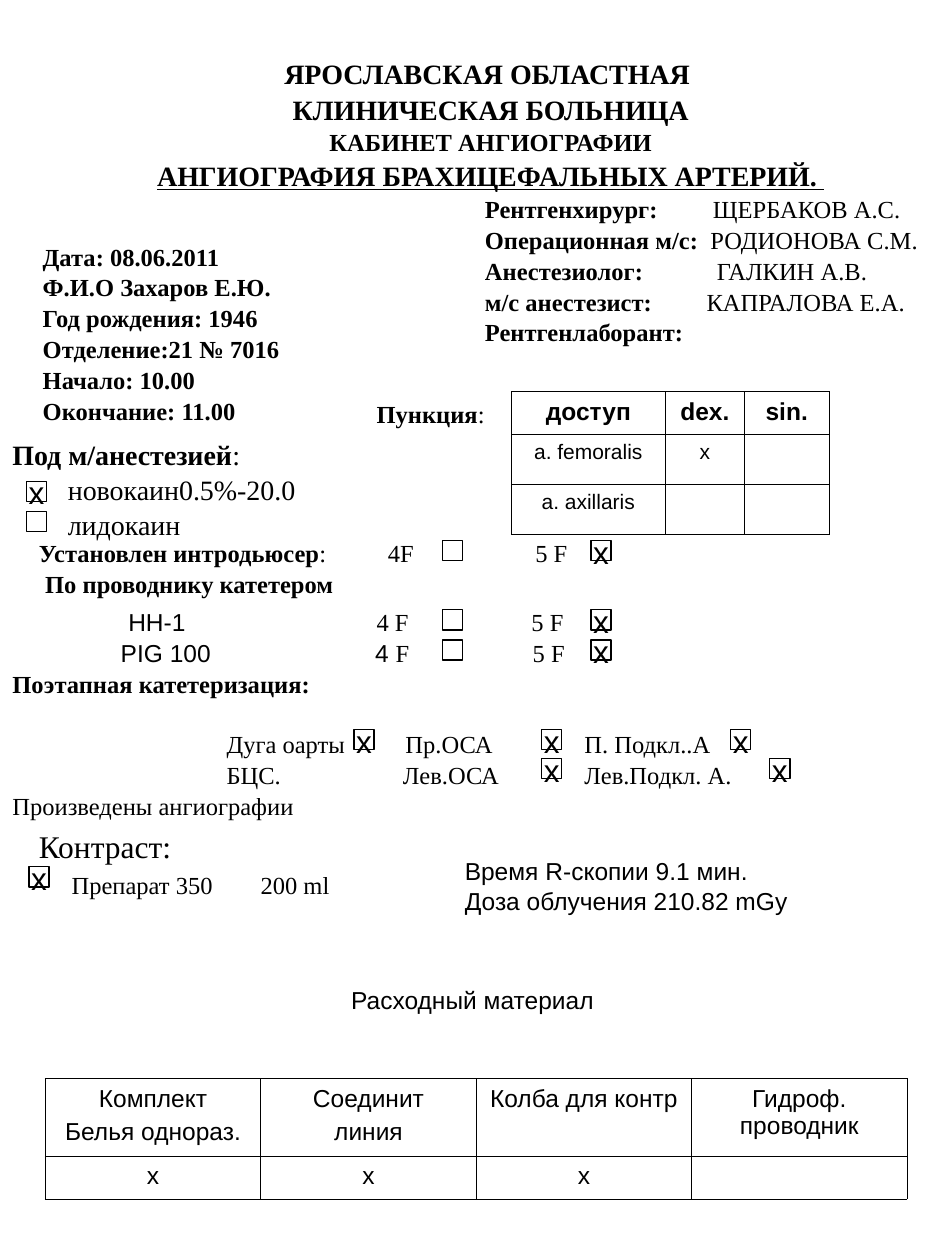
from lxml import etree
from pptx import Presentation
from pptx import util as u
from pptx.dml.color import RGBColor
from pptx.enum import shapes, text
from pptx.oxml import ns

COLORS = {"ink": "000000"}
SERIF, SANS = "Times New Roman", "Arial"
CENTER, LEFT = text.PP_ALIGN.CENTER, text.PP_ALIGN.LEFT
MIDDLE, TOP = text.MSO_ANCHOR.MIDDLE, text.MSO_ANCHOR.TOP
BOLD, PLAIN = {"bold": True}, {"bold": False}
TEXT_SPACING = 1.05
BOX_SIZE = 0.16


def rgb(name):
    return RGBColor.from_string(COLORS[name])


def para(*runs, tabs=(), indent=0, before=0):
    return {"runs": runs, "tabs": tabs, "indent": indent, "before": before}


def add_run(p, content, fmt):
    r = p.add_run()
    r.text = content
    for name, value in fmt.items():
        setattr(r.font, name, value)
    r.font.color.rgb = rgb("ink")


def set_tabs(p, tabs, indent):
    pPr = p._p.get_or_add_pPr()
    if indent:
        pPr.set("marL", str(u.Inches(indent)))
        pPr.set("indent", "0")
    if tabs:
        tab_list = etree.SubElement(pPr, ns.qn("a:tabLst"))
        for pos in tabs:
            etree.SubElement(tab_list, ns.qn("a:tab"), pos=str(u.Inches(pos)), algn="l")


def fill_text(tf, paras, font, size, align=LEFT, spacing=TEXT_SPACING):
    base = {"name": font, "size": u.Pt(size), "bold": False}
    for i, item in enumerate(paras):
        p = tf.paragraphs[0] if i == 0 else tf.add_paragraph()
        set_tabs(p, item["tabs"], item["indent"])
        p.alignment = align
        p.line_spacing = spacing
        if item["before"]:
            p.space_before = u.Pt(item["before"])
        for run in item["runs"]:
            content, fmt = (run, {}) if isinstance(run, str) else run
            add_run(p, content, {**base, **fmt})


def add_text(s, at, paras, font=SERIF, size=14, align=LEFT, anchor=TOP, wrap=True):
    tf = s.shapes.add_textbox(*map(u.Inches, at)).text_frame
    tf.word_wrap = wrap
    tf.vertical_anchor = anchor
    fill_text(tf, paras, font, size, align)


def add_checkbox(s, left, top, checked):
    sp = s.shapes.add_shape(shapes.MSO_SHAPE.RECTANGLE,
                            *map(u.Inches, (left, top, BOX_SIZE, BOX_SIZE)))
    sp.shadow.inherit = False
    sp.fill.background()
    sp.line.color.rgb = rgb("ink")
    sp.line.width = u.Pt(0.75)
    if checked:
        tf = sp.text_frame
        tf.word_wrap = False
        tf.vertical_anchor = MIDDLE
        fill_text(tf, [para("х")], SANS, 18, CENTER)


def set_borders(cell):
    tcPr = cell._tc.get_or_add_tcPr()
    for i, side in enumerate(("lnL", "lnR", "lnT", "lnB")):
        ln = etree.Element(ns.qn(f"a:{side}"), w=str(u.Pt(0.45)))
        solid = etree.SubElement(ln, ns.qn("a:solidFill"))
        etree.SubElement(solid, ns.qn("a:srgbClr"), val=COLORS["ink"])
        tcPr.insert(i, ln)


def add_table(s, left, top, widths, heights, rows, formats):
    frame = s.shapes.add_table(
        len(heights), len(widths),
        *map(u.Inches, (left, top, sum(widths), sum(heights))))
    table = frame.table
    table.first_row = table.horz_banding = False
    for col, width in zip(table.columns, widths):
        col.width = u.Inches(width)
    for i, (row, fmt) in enumerate(zip(rows, formats)):
        table.rows[i].height = u.Inches(heights[i])
        for j, content in enumerate(row):
            cell = table.cell(i, j)
            cell.fill.background()
            set_borders(cell)
            if content:
                paras = [para((line, {"bold": fmt["bold"]}), before=3.5 if n else 0)
                         for n, line in enumerate(content.split("\n"))]
                fill_text(cell.text_frame, paras, SANS, fmt["size"], CENTER, 1.0)
            else:
                p = cell.text_frame.paragraphs[0]
                p._p.get_or_add_endParaRPr().set("sz", str(fmt["size"] * 100))


def add_header(s):
    add_text(s, (0.52, 0.39, 6.75, 1.44), [
        para(("ЯРОСЛАВСКАЯ ОБЛАСТНАЯ ", BOLD)),
        para(("КЛИНИЧЕСКАЯ БОЛЬНИЦА", BOLD)),
        para(("КАБИНЕТ АНГИОГРАФИИ", {**BOLD, "size": u.Pt(14)})),
        para(("АНГИОГРАФИЯ БРАХИЦЕФАЛЬНЫХ АРТЕРИЙ. ", {**BOLD, "underline": True})),
    ], size=16, align=CENTER)


def add_people(s):
    staff = [("Рентгенхирург:", "ЩЕРБАКОВ А.С.", 1.81),
             ("Операционная м/с:", "РОДИОНОВА С.М.", 1.79),
             ("Анестезиолог:", "ГАЛКИН А.В.", 1.84),
             ("м/с анестезист:", "КАПРАЛОВА Е.А.", 1.76)]
    paras = [para((role, BOLD), "\t" + name, tabs=(tab,)) for role, name, tab in staff]
    add_text(s, (3.75, 1.48, 3.75, 1.27), paras + [para(("Рентгенлаборант:", BOLD))])
    patient = ["Дата: 08.06.2011", "Ф.И.О Захаров Е.Ю.", "Год рождения: 1946",
               "Отделение:21 № 7016", "Начало: 10.00", "Окончание: 11.00"]
    add_text(s, (0.24, 1.3, 3.31, 2.68), [para((line, BOLD)) for line in patient],
             anchor=MIDDLE)


def add_procedure(s):
    add_text(s, (0, 3.41, 3.42, 0.9), [
        para(("Под м/анестезией", BOLD), ":"),
        para("новокаин0.5%-20.0", indent=0.44),
        para("лидокаин", indent=0.44)], size=16)
    add_text(s, (2.89, 3.11, 1.06, 0.34), [para(("Пункция", BOLD), ":")], wrap=False)
    add_text(s, (0.21, 4.21, 6.32, 0.57), [
        para(("Установлен интродьюсер", BOLD), ":\t4F\t5 F", tabs=(2.77, 3.94)),
        para(("По проводнику катетером", BOLD), indent=0.05)])
    sans = {"name": SANS}
    add_text(s, (0, 4.76, 7.5, 1.97), [
        para(("\tНН-1", sans), "\t4 F\t5 F", tabs=(0.92, 2.89, 4.12)),
        para(("\tРIG 100\t4 ", sans), "F\t5 F", tabs=(0.86, 2.88, 4.13)),
        para(("Поэтапная катетеризация:", BOLD)),
        para("\tДуга оарты\tПр.ОСА\tП. Подкл..А", tabs=(1.7, 3.12, 4.54), before=16.9),
        para("\tБЦС.\tЛев.ОСА\tЛев.Подкл. А.", tabs=(1.7, 3.1, 4.54)),
        para("Произведены ангиографии")])


def add_summary(s):
    add_text(s, (0.21, 6.5, 3.72, 1.37), [
        para(("Контраст:", {"size": u.Pt(18)})),
        para("Препарат 350\t200 ml", tabs=(1.56,), indent=0.26, before=2)])
    add_text(s, (3.59, 6.73, 3.12, 0.57), [
        para("Время R-скопии 9.1 мин."),
        para("Доза облучения 210.82 mGy")], font=SANS)
    add_text(s, (0, 7.76, 7.5, 1.04), [para("Расходный материал")],
             font=SANS, align=CENTER)


def main():
    prs = Presentation()
    prs.slide_width, prs.slide_height = u.Inches(7.5), u.Inches(10)
    s = prs.slides.add_slide(prs.slide_layouts[6])
    add_header(s)
    add_people(s)
    add_procedure(s)
    add_summary(s)
    small = {"size": 12, **PLAIN}
    normal = {"size": 14, **PLAIN}
    add_table(s, 4.06, 3.11, (1.22, 0.63, 0.67), (0.33, 0.4, 0.4),
              [("доступ", "dex.", "sin."), ("a. femoralis", "х", ""),
               ("a. axillaris", "", "")],
              [{"size": 14, **BOLD}, small, small])
    add_table(s, 0.36, 8.56, (1.71,) * 4, (0.61, 0.34),
              [("Комплект\nБелья однораз.", "Соединит\nлиния", "Колба для контр",
                "Гидроф. проводник"), ("х", "х", "х", "")],
              [normal, normal])
    for top in (4.29, 4.84, 5.08):
        add_checkbox(s, 3.51, top, False)
        add_checkbox(s, 4.69, top, True)
    add_checkbox(s, 0.21, 4.06, False)
    for left, top in ((0.21, 3.82), (0.23, 6.88), (2.81, 5.79), (4.3, 5.79),
                      (5.8, 5.79), (4.3, 6.02), (6.11, 6.02)):
        add_checkbox(s, left, top, True)
    prs.save("out.pptx")


if __name__ == "__main__":
    main()
